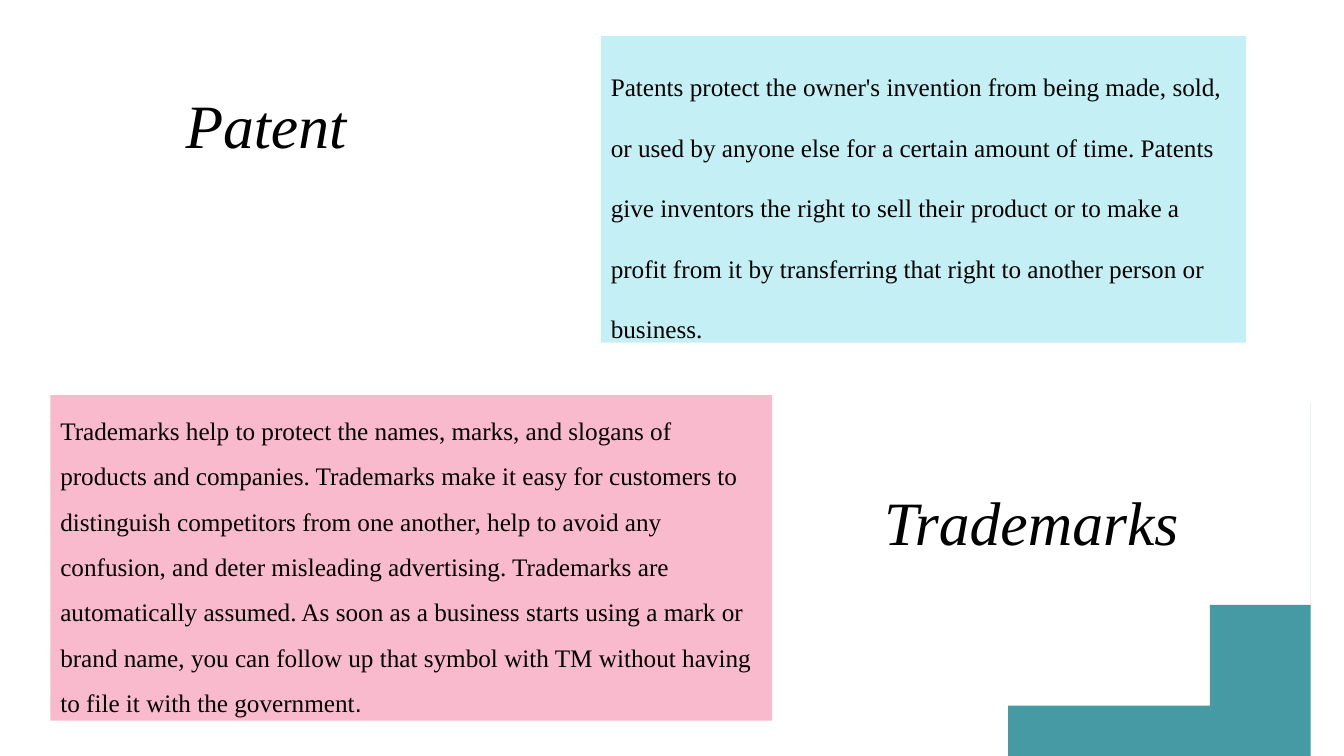
from lxml import etree
from pptx import Presentation
from pptx import util as u
from pptx.dml.color import RGBColor
from pptx.enum import shapes, text
from pptx.oxml.ns import qn

SLIDE_W, SLIDE_H = 13.33, 7.5
SERIF = "Times New Roman"
BLACK, TEAL, AQUA, PINK = "000000", "18818C", "C4F0F5", "FABACE"

PATENT = (
    "Patents protect the owner's invention from being made, sold, or used by "
    "anyone else for a certain amount of time. Patents give inventors the right "
    "to sell their product or to make a profit from it by transferring that "
    "right to another person or business."
)
TRADEMARKS = (
    "Trademarks help to protect the names, marks, and slogans of products and "
    "companies. Trademarks make it easy for customers to distinguish competitors "
    "from one another, help to avoid any confusion, and deter misleading "
    "advertising. Trademarks are automatically assumed. As soon as a business "
    "starts using a mark or brand name, you can follow up that symbol with TM "
    "without having to file it with the government"
)


def color(hex_string):
    return RGBColor.from_string(hex_string)


def inches(box):
    return [u.Inches(length) for length in box]


def fill_plain(shape, hex_string):
    shape.shadow.inherit = False
    shape.fill.solid()
    shape.fill.fore_color.rgb = color(hex_string)
    shape.line.fill.background()


def add_corner(slide, box, steps=60):
    """Teal corner bounded by a concave curve, placed behind everything."""
    left, top, width, height = box
    right, bottom = left + width, top + height
    controls = [(left, bottom), (left + 0.52 * width, bottom),
                (left + 0.95 * width, top + 0.57 * height), (right, top)]

    def curve_point(t):
        weights = ((1 - t) ** 3, 3 * t * (1 - t) ** 2, 3 * t ** 2 * (1 - t), t ** 3)
        return tuple(sum(w * point[axis] for w, point in zip(weights, controls))
                     for axis in (0, 1))

    outline = slide.shapes.build_freeform(right, bottom, scale=u.Inches(1))
    outline.add_line_segments([curve_point(i / steps) for i in range(steps + 1)])
    corner = outline.convert_to_shape()
    fill_plain(corner, TEAL)
    solid = corner.fill._xPr.find(qn("a:solidFill"))
    etree.SubElement(solid[0], qn("a:alpha"), val="80000")
    slide.shapes._spTree.insert(2, corner._element)


def set_heading(shape, box, heading, line_spacing):
    shape.left, shape.top, shape.width, shape.height = inches(box)
    frame = shape.text_frame
    frame.word_wrap = True
    frame.auto_size = text.MSO_AUTO_SIZE.NONE
    frame.vertical_anchor = text.MSO_ANCHOR.MIDDLE
    frame.text = heading
    paragraph = frame.paragraphs[0]
    paragraph.alignment = text.PP_ALIGN.LEFT
    paragraph.line_spacing = line_spacing
    font = paragraph.font
    font.name, font.size, font.italic = SERIF, u.Pt(44), True
    font.color.rgb = color(BLACK)


def add_panel(slide, box, fill, body, line_spacing, space_after=0):
    panel = slide.shapes.add_shape(shapes.MSO_SHAPE.RECTANGLE, *inches(box))
    fill_plain(panel, fill)
    frame = panel.text_frame
    frame.word_wrap = True
    frame.auto_size = text.MSO_AUTO_SIZE.SHAPE_TO_FIT_TEXT
    frame.vertical_anchor = text.MSO_ANCHOR.TOP
    frame.text = body
    paragraph = frame.paragraphs[0]
    paragraph.alignment = text.PP_ALIGN.LEFT
    paragraph.line_spacing = line_spacing
    paragraph.space_after = u.Pt(space_after)
    font = paragraph.font
    font.name, font.size = SERIF, u.Pt(18)
    font.color.rgb = color(BLACK)
    return paragraph


def add_patent_row(slide, top):
    set_heading(slide.shapes.title, (1.74, top + 0.19, 3.27, 1.45), "Patent", 0.9)
    add_panel(slide, (5.96, top, 6.4, 3.04), AQUA, PATENT, 2.0, space_after=12)


def add_trademark_row(slide, top):
    heading_box = (8.67, top + 0.52, 3.27, 1.45)
    set_heading(slide.shapes.add_textbox(*inches(heading_box)), heading_box,
                "Trademarks", 1.0)
    paragraph = add_panel(slide, (0.5, top, 7.16, 3.23), PINK, TRADEMARKS, 1.5)
    full_stop = paragraph.add_run()
    full_stop.text = "."
    full_stop.font.name = "Arial"


def main():
    deck = Presentation()
    deck.slide_width, deck.slide_height = inches((SLIDE_W, SLIDE_H))
    slide = deck.slides.add_slide(deck.slide_layouts[5])
    add_corner(slide, (SLIDE_W - 3.66, SLIDE_H - 3.42, 3.66, 3.42))
    add_patent_row(slide, 0.36)
    add_trademark_row(slide, 3.92)
    deck.save("out.pptx")


if __name__ == "__main__":
    main()
